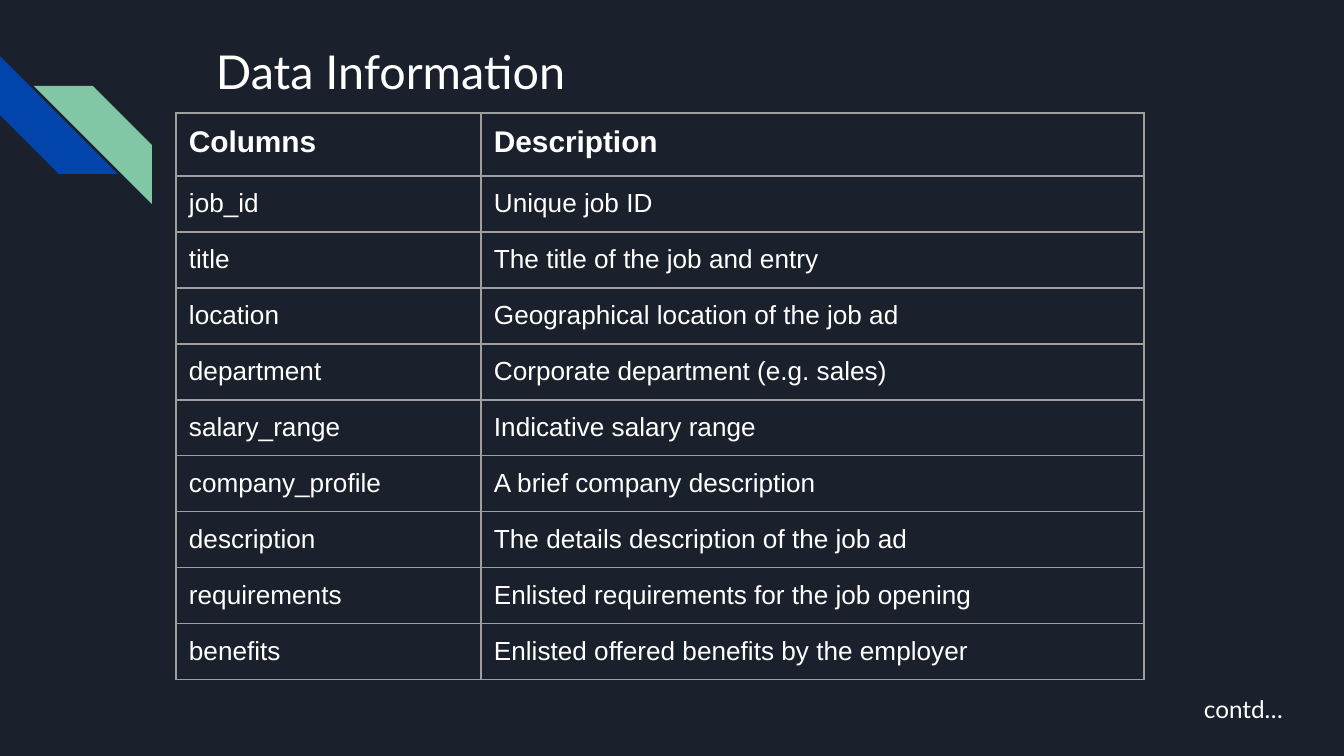
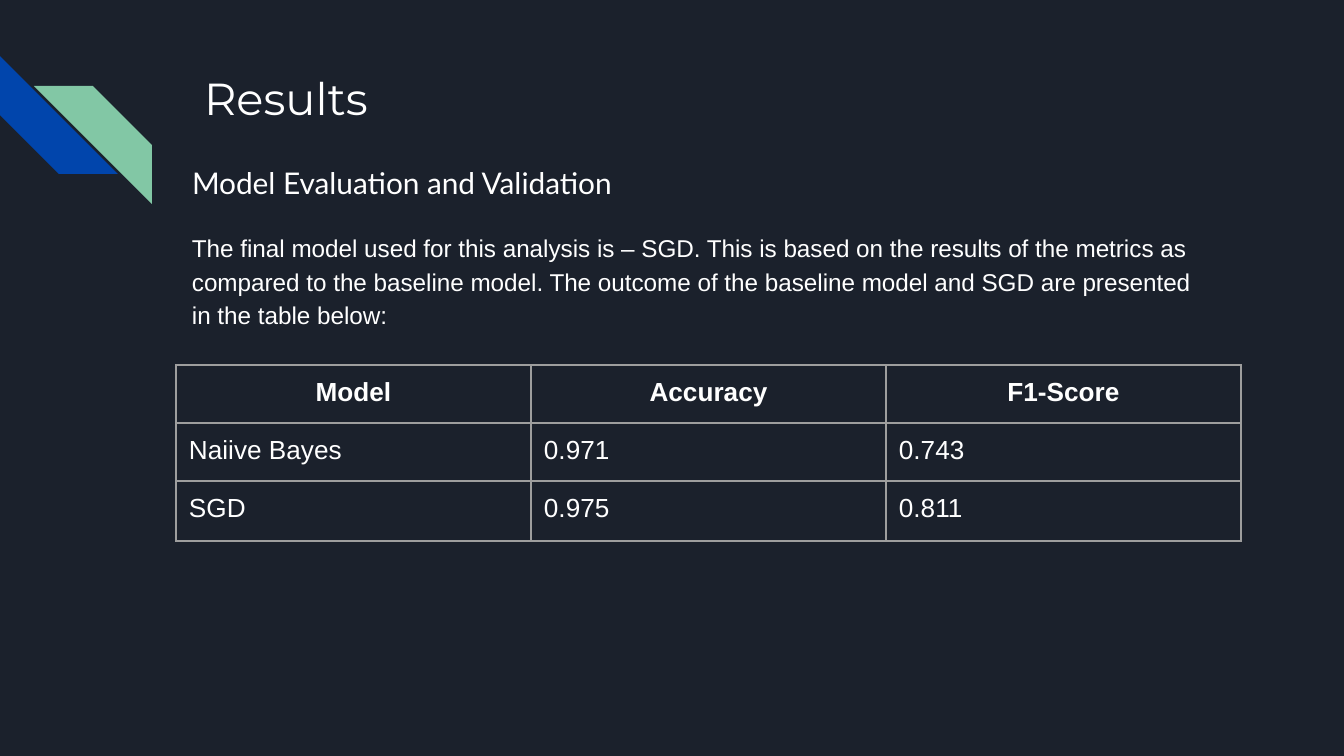
from lxml import etree
from pptx import Presentation, util as u
from pptx.dml.color import RGBColor
from pptx.enum import shapes, text
from pptx.oxml import ns

PX = 914400 / 134.4
NAVY, BLUE, GREEN, WHITE, GREY = "1B212C", "0145AC", "82C7A5", "FFFFFF", "9E9E9E"
INSET = 13
TABLE_LEFT = 176


def px(*lengths):
    return [u.Emu(round(length * PX)) for length in lengths]


def write(frame, words, size, font, bold=False, align=text.PP_ALIGN.LEFT):
    """Fill a text frame or cell frame with one formatted paragraph."""
    frame.text = words
    frame.word_wrap = True
    (frame.margin_left, frame.margin_right,
     frame.margin_top, frame.margin_bottom) = px(*[INSET] * 4)
    frame.vertical_anchor = text.MSO_ANCHOR.TOP
    paragraph = frame.paragraphs[0]
    paragraph.alignment = align
    run_font = paragraph.runs[0].font
    run_font.size, run_font.name, run_font.bold = u.Pt(size), font, bold
    run_font.color.rgb = RGBColor.from_string(WHITE)
    return paragraph


prs = Presentation()
prs.slide_width, prs.slide_height = px(1344, 756)
backdrop = prs.slide_master.background.fill
backdrop.solid()
backdrop.fore_color.rgb = RGBColor.from_string(NAVY)

# Content of the two slides
data_info = {
    "layout": 5,
    "title": ("Data Information", 25, "Lato"),
    "title_box": (203, 30, 784, 83),
    "table_top": 113,
    "columns": [305, 663],
    "row_heights": [63] + [56] * 9,
    "header_size": 16,
    "header_align": text.PP_ALIGN.LEFT,
    "rows": [
        ("Columns", "Description"),
        ("job_id", "Unique job ID"),
        ("title", "The title of the job and entry"),
        ("location", "Geographical location of the job ad"),
        ("department", "Corporate department (e.g. sales)"),
        ("salary_range", "Indicative salary range"),
        ("company_profile", "A brief company description"),
        ("description", "The details description of the job ad"),
        ("requirements", "Enlisted requirements for the job opening"),
        ("benefits", "Enlisted offered benefits by the employer"),
    ],
}
results = {
    "layout": 1,
    "title": ("Results", 24, "Montserrat"),
    "title_box": (191, 58, 1035, 134),
    "table_top": 365,
    "columns": [355] * 3,
    "row_heights": [58, 58, 60],
    "header_size": 14,
    "header_align": text.PP_ALIGN.CENTER,
    "rows": [
        ("Model", "Accuracy", "F1-Score"),
        ("Naiive Bayes", "0.971", "0.743"),
        ("SGD", "0.975", "0.811"),
    ],
}

built = []
for content in (data_info, results):
    slide = prs.slides.add_slide(prs.slide_layouts[content["layout"]])
    built.append(slide)

    # Corner stripes
    for left, top, colour, rotation in ((0, 56, BLUE, 270), (34, 86, GREEN, 0)):
        stripe = slide.shapes.add_shape(
            shapes.MSO_SHAPE.DIAGONAL_STRIPE, *px(left, top, 118, 118))
        stripe.shadow.inherit = False
        stripe.fill.solid()
        stripe.fill.fore_color.rgb = RGBColor.from_string(colour)
        stripe.line.fill.background()
        stripe.rotation = rotation
        if not rotation:
            stripe._element.spPr.xfrm.set("flipH", "1")

    # Title
    title = slide.shapes.title
    title.left, title.top, title.width, title.height = px(*content["title_box"])
    write(title.text_frame, *content["title"])
    title.text_frame.auto_size = text.MSO_AUTO_SIZE.NONE

    # Table
    rows, columns, heights = content["rows"], content["columns"], content["row_heights"]
    table = slide.shapes.add_table(
        len(rows), len(columns),
        *px(TABLE_LEFT, content["table_top"], sum(columns), sum(heights))).table
    table.first_row = table.horz_banding = False
    for column, width in zip(table.columns, px(*columns)):
        column.width = width
    for row, height in zip(table.rows, px(*heights)):
        row.height = height
    for r, entries in enumerate(rows):
        for c, entry in enumerate(entries):
            cell = table.cell(r, c)
            if r == 0:
                write(cell.text_frame, entry, content["header_size"], "Arial",
                      True, content["header_align"])
            else:
                write(cell.text_frame, entry, 14, "Arial")
            (cell.margin_left, cell.margin_right,
             cell.margin_top, cell.margin_bottom) = px(*[INSET] * 4)
            cell.fill.background()
            properties = cell._tc.get_or_add_tcPr()
            for place, side in enumerate(("lnL", "lnR", "lnT", "lnB")):
                border = etree.Element(ns.qn(f"a:{side}"), w=str(u.Pt(0.75)))
                fill = etree.SubElement(border, ns.qn("a:solidFill"))
                etree.SubElement(fill, ns.qn("a:srgbClr"), val=GREY)
                properties.insert(place, border)

data_slide, results_slide = built

# Continuation note
contd = data_slide.shapes.add_textbox(*px(1191, 681, 153, 86))
write(contd.text_frame, "contd…", 13, "Lato")

# Results heading
heading = results_slide.placeholders[1]
heading.left, heading.top, heading.width, heading.height = px(179, 146, 754, 91)
line = write(heading.text_frame, "Model Evaluation and Validation", 16, "Lato")
heading.text_frame.auto_size = text.MSO_AUTO_SIZE.NONE
line.line_spacing, line.space_before, line.space_after = 1.15, u.Pt(0), u.Pt(12)
bullet = line._p.get_or_add_pPr()
bullet.set("marL", "0")
bullet.set("indent", "0")
etree.SubElement(bullet, ns.qn("a:buNone"))

# Results summary
summary = results_slide.shapes.add_textbox(*px(179, 216, 1035, 124))
line = write(
    summary.text_frame,
    "The final model used for this analysis is – SGD. This is based on the results "
    "of the metrics as compared to the baseline model. The outcome of the baseline "
    "model and SGD are presented in the table below:", 13, "Arial")
line.line_spacing, line.space_before, line.space_after = 1.15, u.Pt(16), u.Pt(16)

prs.save("out.pptx")
